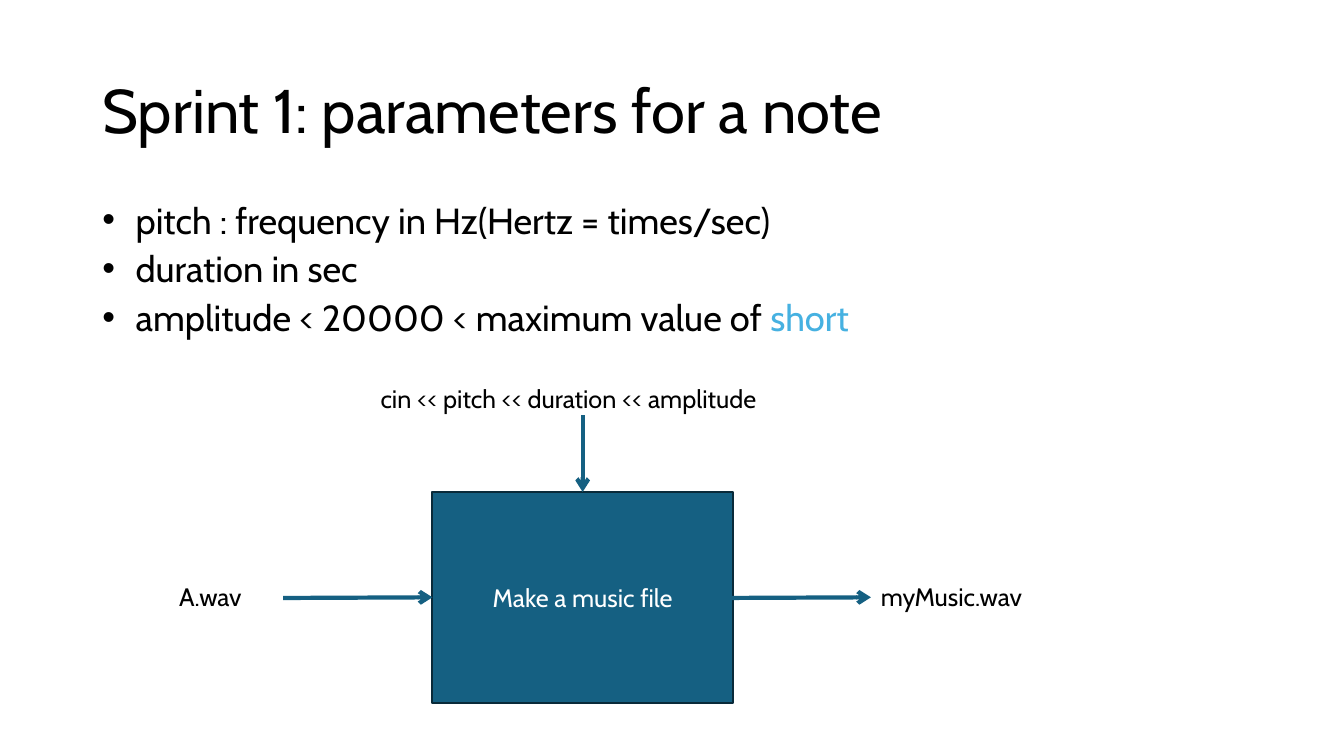
from lxml import etree
from pptx import Presentation
from pptx import util as u
from pptx.dml import color
from pptx.enum import shapes, text
from pptx.oxml import ns

HUES = {"ink": "000000", "paper": "FFFFFF", "teal": "156082",
        "edge": "092A39", "sky": "46B1E1"}
FONT = "Cabin"


def hue(name):
    return color.RGBColor.from_string(HUES[name])


def add_run(para, words, size, tint="ink"):
    run = para.add_run()
    run.text = words
    run.font.name = FONT
    run.font.size = u.Pt(size)
    run.font.color.rgb = hue(tint)


def add_text(slide, box, anchor=text.MSO_ANCHOR.TOP):
    frame = slide.shapes.add_textbox(*map(u.Pt, box)).text_frame
    frame.word_wrap = True
    frame.vertical_anchor = anchor
    return frame


def add_title(slide, box):
    para = add_text(slide, box, text.MSO_ANCHOR.MIDDLE).paragraphs[0]
    para.line_spacing = 0.9
    add_run(para, "Sprint 1: parameters for a note", 44)


def add_list(slide, box):
    frame = add_text(slide, box)
    items = [
        [(" pitch : frequency in Hz(Hertz = times/sec)", "ink")],
        [(" duration in sec", "ink")],
        [(" amplitude < 20000 < maximum value of ", "ink"), ("short", "sky")],
    ]
    for num, item in enumerate(items):
        para = frame.add_paragraph() if num else frame.paragraphs[0]
        para.line_spacing = 0.8
        para.space_before = u.Pt(10)
        props = para._p.get_or_add_pPr()
        props.set("marL", str(u.Pt(18)))
        props.set("indent", str(-u.Pt(18)))
        etree.SubElement(props, ns.qn("a:buFont"), typeface="Arial")
        etree.SubElement(props, ns.qn("a:buChar"), char="•")
        for words, tint in item:
            add_run(para, words, 25.9, tint)


def add_label(slide, box, words):
    add_run(add_text(slide, box).paragraphs[0], words, 18)


def add_arrow(slide, start, tip):
    arrow = slide.shapes.add_connector(
        shapes.MSO_CONNECTOR.STRAIGHT, *map(u.Pt, start + tip))
    arrow.line.color.rgb = hue("teal")
    arrow.line.width = u.Pt(3)
    etree.SubElement(arrow.line._get_or_add_ln(), ns.qn("a:tailEnd"), type="arrow")
    etree.SubElement(arrow._element.spPr, ns.qn("a:effectLst"))
    return arrow


def add_flow(slide, box):
    left, top, width, height = box
    mid_x, mid_y = left + width / 2, top + height / 2
    maker = slide.shapes.add_shape(shapes.MSO_SHAPE.RECTANGLE, *map(u.Pt, box))
    maker.shadow.inherit = False
    maker.fill.solid()
    maker.fill.fore_color.rgb = hue("teal")
    maker.line.color.rgb = hue("edge")
    maker.line.width = u.Pt(1.5)
    maker.text_frame.vertical_anchor = text.MSO_ANCHOR.MIDDLE
    para = maker.text_frame.paragraphs[0]
    para.alignment = text.PP_ALIGN.CENTER
    add_run(para, "Make a music file", 18, "paper")

    reach = 106.6
    source = add_arrow(slide, (left - reach, mid_y + 0.5), (left, mid_y))
    source.end_connect(maker, 1)
    out = left + width - 8
    add_arrow(slide, (out, mid_y + 0.5), (out + reach, mid_y))
    params = add_arrow(slide, (mid_x, top - 54.7), (mid_x, top))
    params.end_connect(maker, 0)

    row = mid_y - 14.8
    add_label(slide, (left - 188, row, 149, 29), "A.wav")
    add_label(slide, (out + reach, row, 149, 29), "myMusic.wav")
    add_label(slide, (left - 48.2, top - 81.4, 389.5, 29),
              " cin << pitch << duration << amplitude")


def main():
    deck = Presentation()
    deck.slide_width, deck.slide_height = u.Pt(960), u.Pt(540)
    slide = deck.slides.add_slide(deck.slide_layouts[6])
    add_title(slide, (66, 28.75, 828, 104.4))
    add_list(slide, (66, 143.75, 828, 104.4))
    add_flow(slide, (308.9, 351.4, 214.6, 150.5))
    deck.save("out.pptx")


if __name__ == "__main__":
    main()
